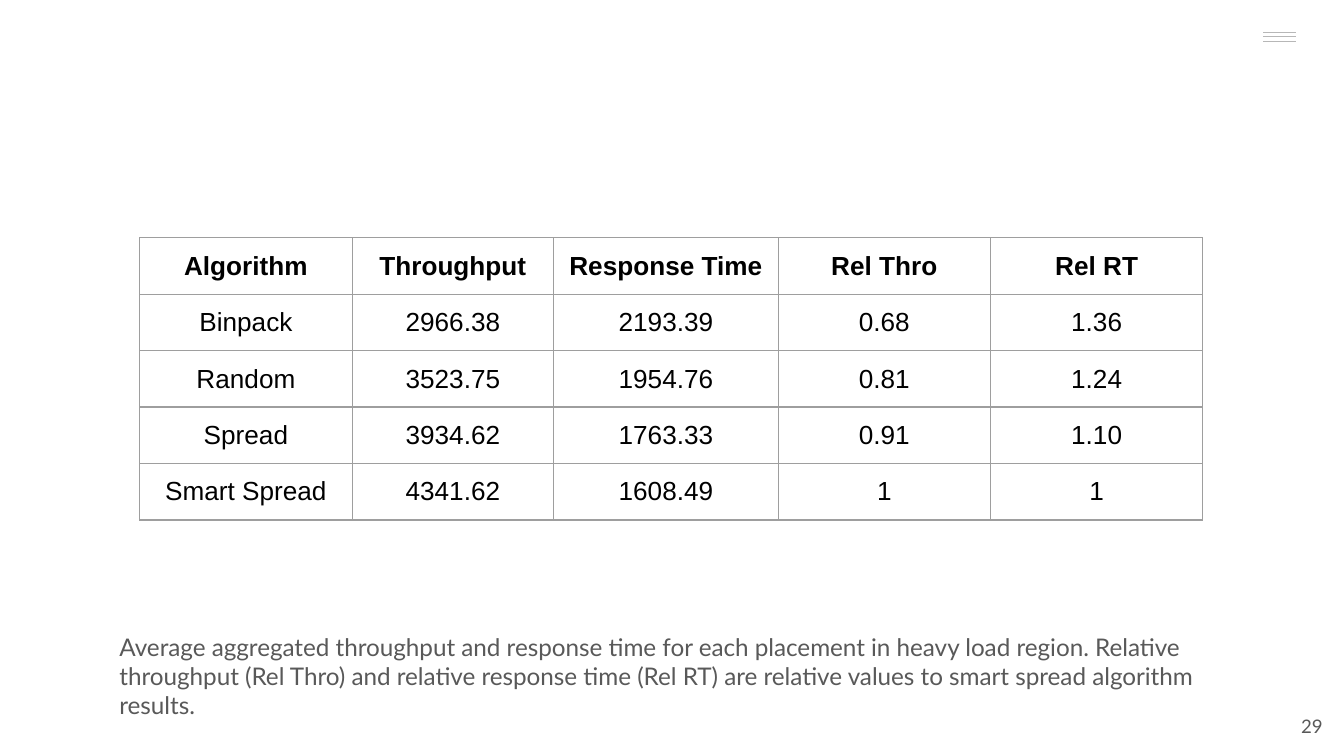
from lxml.etree import SubElement
from pptx import Presentation
from pptx.dml.color import RGBColor
from pptx.enum.shapes import MSO_CONNECTOR
from pptx.enum.text import MSO_ANCHOR, PP_ALIGN
from pptx.oxml.ns import qn
from pptx.util import Inches, Pt

BLACK = RGBColor(0x00, 0x00, 0x00)
GREY_TEXT = RGBColor(0x59, 0x59, 0x59)
GREY_MENU = RGBColor(0xB7, 0xB7, 0xB7)
GREY_BORDER = RGBColor(0x9E, 0x9E, 0x9E)

CAPTION = (
    "Average aggregated throughput and response time for each placement in "
    "heavy load region. Relative throughput (Rel Thro) and relative response "
    "time (Rel RT) are relative values to smart spread algorithm results."
)
COLUMN_WIDTHS = [1.58, 1.5, 1.67, 1.58, 1.58]
ROW_HEIGHT = 0.42
RESULTS = [
    ["Algorithm", "Throughput", "Response Time", "Rel Thro", "Rel RT"],
    ["Binpack", "2966.38", "2193.39", "0.68", "1.36"],
    ["Random", "3523.75", "1954.76", "0.81", "1.24"],
    ["Spread", "3934.62", "1763.33", "0.91", "1.10"],
    ["Smart Spread", "4341.62", "1608.49", "1", "1"],
]
MARGINS = {
    side: Inches(0.1)
    for side in ("margin_left", "margin_top", "margin_right", "margin_bottom")
}
# Slightly tighter above and below, so that the rows keep their height
CELL_FORMAT = {
    **MARGINS,
    "margin_top": Inches(0.09),
    "margin_bottom": Inches(0.09),
    "vertical_anchor": MSO_ANCHOR.MIDDLE,
}


def set_attributes(target, values):
    for name, value in values.items():
        setattr(target, name, value)


def write_text(paragraph, text, color, alignment, **font_values):
    paragraph.alignment = alignment
    run = paragraph.add_run()
    run.text = text
    set_attributes(run.font, font_values)
    run.font.color.rgb = color


def add_text(slide, text, left, top, width, height, size, alignment):
    shape = slide.shapes.add_textbox(
        Inches(left), Inches(top), Inches(width), Inches(height))
    frame = shape.text_frame
    set_attributes(frame, {
        **MARGINS, "word_wrap": True, "vertical_anchor": MSO_ANCHOR.MIDDLE})
    write_text(frame.paragraphs[0], text, GREY_TEXT, alignment,
               name="Lato", size=Pt(size))


def add_menu_line(slide, top):
    line = slide.shapes.add_connector(
        MSO_CONNECTOR.STRAIGHT,
        Inches(9.4), Inches(top), Inches(9.64), Inches(top))
    line.line.color.rgb = GREY_MENU
    line.line.width = Pt(0.75)
    SubElement(line._element.spPr, qn("a:effectLst"))


def add_borders(cell):
    properties = cell._tc.get_or_add_tcPr()
    for position, side in enumerate(("a:lnL", "a:lnR", "a:lnT", "a:lnB")):
        border = properties.makeelement(qn(side), {"w": str(Pt(0.75))})
        fill = SubElement(border, qn("a:solidFill"))
        SubElement(fill, qn("a:srgbClr"), val=str(GREY_BORDER))
        # Borders come before the cell's fill
        properties.insert(position, border)


def add_results_table(slide, left, top):
    frame = slide.shapes.add_table(
        len(RESULTS), len(COLUMN_WIDTHS), Inches(left), Inches(top),
        Inches(sum(COLUMN_WIDTHS)), Inches(ROW_HEIGHT * len(RESULTS)))
    table = frame.table
    set_attributes(table, {"first_row": False, "horz_banding": False})
    for column, width in zip(table.columns, COLUMN_WIDTHS):
        column.width = Inches(width)
    for row_index, values in enumerate(RESULTS):
        table.rows[row_index].height = Inches(ROW_HEIGHT)
        for column_index, value in enumerate(values):
            cell = table.cell(row_index, column_index)
            set_attributes(cell, CELL_FORMAT)
            cell.fill.background()
            add_borders(cell)
            write_text(cell.text_frame.paragraphs[0], value, BLACK,
                       PP_ALIGN.CENTER, name="Arial", size=Pt(14),
                       bold=row_index == 0)


def main():
    presentation = Presentation()
    # Widescreen, 16 to 9
    presentation.slide_width = Inches(10)
    presentation.slide_height = Inches(10) * 9 // 16
    # The slide has no title, so it uses the blank layout
    slide = presentation.slides.add_slide(presentation.slide_layouts[6])

    # Menu mark in the corner
    for top in (0.24, 0.27, 0.31):
        add_menu_line(slide, top)

    # Caption and slide number
    add_text(slide, CAPTION, 0.79, 4.78, 8.42, 0.5, 13, PP_ALIGN.LEFT)
    add_text(slide, "29", 9.34, 5.19, 0.6, 0.43, 10, PP_ALIGN.RIGHT)

    # Results
    add_results_table(slide, 1.04, 1.77)

    presentation.save("out.pptx")


if __name__ == "__main__":
    main()
